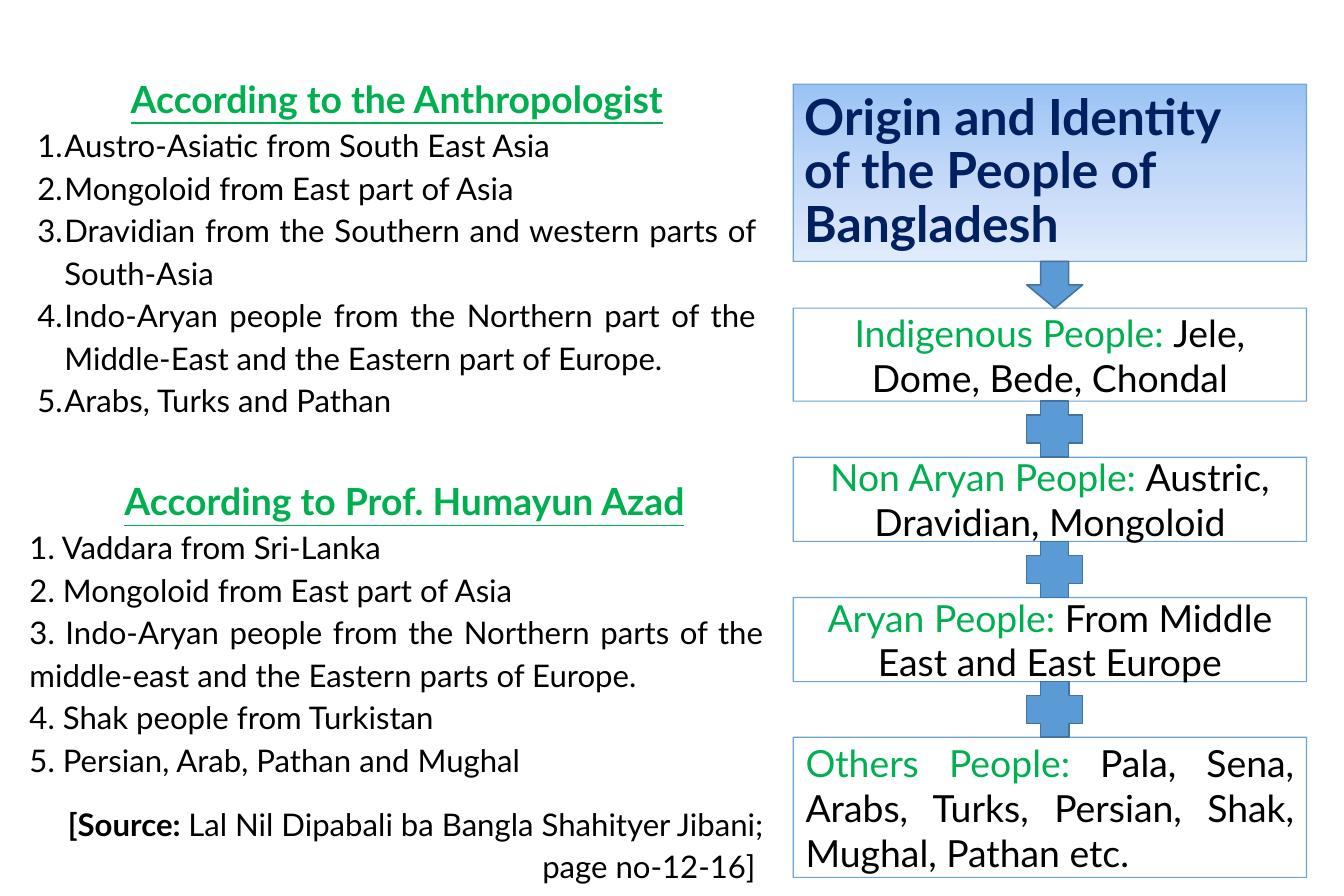
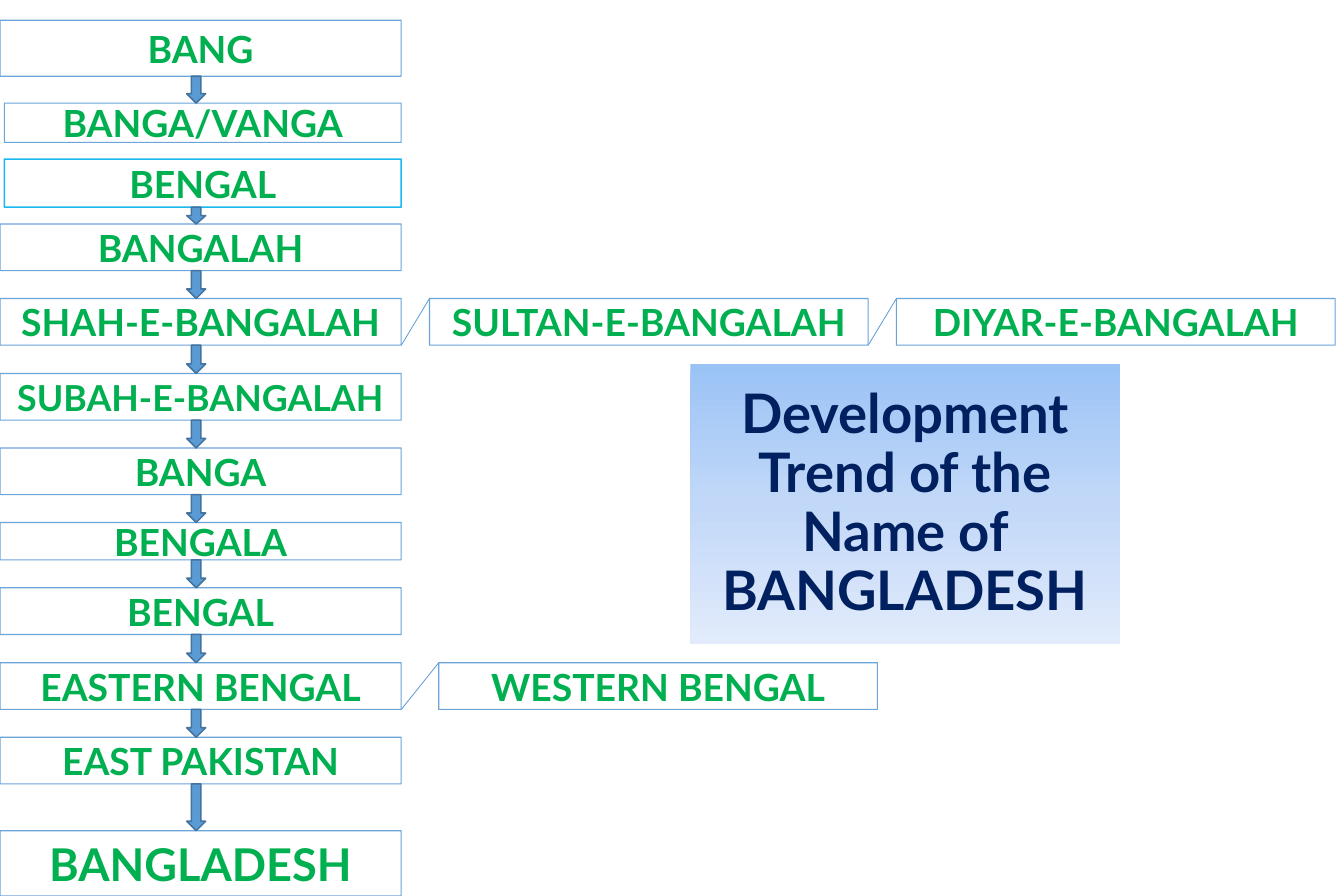
from copy import deepcopy

from pptx import Presentation
from pptx import util as u
from pptx.dml.color import RGBColor
from pptx.enum import shapes, text
from pptx.oxml.ns import qn
from lxml import etree

FONT = "Lato"
COLOURS = {
    "title": "002060",
    "accent": "00B050",
    "body": "000000",
    "edge": "5B9BD5",
    "link_edge": "43739E",
    "bright_edge": "00B0F0",
    "paper": "FFFFFF",
}
TITLE_STOPS = [(0, "9AC3F5"), (0.5, "C2D8F8"), (1, "E1EBFB")]
LEFT, CENTER, RIGHT, JUSTIFY = (
    text.PP_ALIGN.LEFT, text.PP_ALIGN.CENTER, text.PP_ALIGN.RIGHT, text.PP_ALIGN.JUSTIFY)
BLOCK = shapes.MSO_SHAPE

# People groups on slide 1: label, members, top, height, alignment (cm)
GROUPS = [
    ("Indigenous People: ", "Jele, Dome, Bede, Chondal", 6.99, 2.11, CENTER),
    ("Non Aryan People: ", "Austric, Dravidian, Mongoloid", 10.37, 1.91, CENTER),
    ("Aryan People: ", "From Middle East and East Europe", 13.55, 1.91, CENTER),
    ("Others People: ", "Pala, Sena, Arabs, Turks, Persian, Shak, Mughal, Pathan etc.",
     16.72, 3.18, JUSTIFY),
]
ANTHROPOLOGIST_VIEW = [
    "Austro-Asiatic from South East Asia",
    "Mongoloid from East part of Asia",
    "Dravidian from the Southern and western parts of South-Asia",
    "Indo-Aryan people from the Northern part of the Middle-East "
    "and the Eastern part of Europe.",
    "Arabs, Turks and Pathan",
]
AZAD_VIEW = [
    "1. Vaddara from Sri-Lanka",
    "2. Mongoloid from East part of Asia",
    "3. Indo-Aryan people from the Northern parts of the middle-east "
    "and the Eastern parts of Europe.",
    "4. Shak people from Turkistan",
    "5. Persian, Arab, Pathan and Mughal",
]
# Names on slide 2: name, left, top, height (cm), text size
NAMES = [
    ("BANG", 0, 0.46, 1.27, 24),
    ("BANGA/VANGA", 0.1, 2.34, 0.89, 24),
    ("BENGAL", 0.1, 3.61, 1.09, 24),
    ("BANGALAH", 0, 5.08, 1.06, 24),
    ("SHAH-E-BANGALAH", 0, 6.77, 1.06, 24),
    ("SUBAH-E-BANGALAH", 0, 8.47, 1.06, 23),
    ("BANGA", 0, 10.16, 1.06, 24),
    ("BENGALA", 0, 11.85, 0.85, 24),
    ("BENGAL", 0, 13.33, 1.06, 24),
    ("EASTERN BENGAL", 0, 15.03, 1.06, 24),
    ("EAST PAKISTAN", 0, 16.72, 1.06, 24),
    ("BANGLADESH", 0, 18.84, 1.48, 29),
]
UNLINKED, BRIGHT = 1, 2  # no arrow below the second name; the third has its own edge
NAMES_RIGHT = 9.1
# Variants beside a name: row, gap before each box, names
VARIANTS = [
    (4, 0.64, ["SULTAN-E-BANGALAH", "DIYAR-E-BANGALAH"]),
    (9, 0.85, ["WESTERN BENGAL"]),
]


def rgb(name):
    """Return a named colour."""
    return RGBColor.from_string(COLOURS[name])


def set_edge(line, colour, width, opacity=100):
    """Draw an outline, with opacity in percent."""
    line.color.rgb = rgb(colour)
    line.width = u.Pt(width)
    if opacity < 100:
        srgb = line.fill._xPr.find(".//" + qn("a:srgbClr"))
        etree.SubElement(srgb, qn("a:alpha"), val=str(opacity * 1000))


def add_run(paragraph, words, size, colour, bold=False, underline=False):
    """Add one styled run."""
    run = paragraph.add_run()
    run.text = words
    font = run.font
    font.name, font.size, font.bold = FONT, u.Pt(size), bold
    font.underline = underline
    font.color.rgb = rgb(colour)


def add_block(slide, kind, left, top, width, height):
    """Add a preset shape without shadow, fill or outline."""
    block = slide.shapes.add_shape(
        kind, u.Cm(left), u.Cm(top), u.Cm(width), u.Cm(height))
    block.shadow.inherit = False
    block.fill.background()
    block.line.fill.background()
    return block


def set_frame(frame, across, down, anchor):
    """Wrap the text and set its insets; return the first paragraph."""
    frame.word_wrap = True
    frame.margin_left = frame.margin_right = u.Cm(across)
    frame.margin_top = frame.margin_bottom = u.Cm(down)
    frame.vertical_anchor = anchor
    return frame.paragraphs[0]


def add_title(slide, place, lines, size, align):
    """Add the title panel with its gradient."""
    panel = add_block(slide, BLOCK.RECTANGLE, *place)
    panel.fill.gradient()
    panel.fill.gradient_angle = 270
    stops = panel._element.spPr.find(".//" + qn("a:gsLst"))
    stops.insert(1, deepcopy(stops[0]))
    for stop, (position, colour) in zip(panel.fill.gradient_stops, TITLE_STOPS):
        stop.position = position
        stop.color.rgb = RGBColor.from_string(colour)
    heading = set_frame(panel.text_frame, 0.25, 0.13, text.MSO_ANCHOR.MIDDLE)
    heading.alignment, heading.line_spacing = align, 0.9
    for number, line in enumerate(lines):
        if number:
            heading.add_line_break()
        add_run(heading, line, size, "title", bold=True)
    return panel


def add_box(slide, left, top, width, height, align=CENTER):
    """Add an outlined box; return it and its paragraph."""
    box = add_block(slide, BLOCK.RECTANGLE, left, top, width, height)
    set_edge(box.line, "edge", 0.75, 90)
    label = set_frame(box.text_frame, 0.28, 0.15, text.MSO_ANCHOR.MIDDLE)
    label.alignment = align
    return box, label


def add_name(slide, name, left, top, width, height, size=24):
    """Add a box that holds one bold name."""
    box, label = add_box(slide, left, top, width, height)
    add_run(label, name, size, "accent", bold=True)
    return box


def add_link(slide, kind, centre, width, top, bottom):
    """Fill the gap between two boxes with an arrow or a plus."""
    link = add_block(slide, kind, centre - width / 2, top, width, bottom - top)
    link.fill.solid()
    link.fill.fore_color.rgb = rgb("edge")
    set_edge(link.line, "link_edge", 1)


def add_slant(slide, left, bottom, right, top):
    """Add the thin slanted line between two variants."""
    slant = slide.shapes.add_connector(
        shapes.MSO_CONNECTOR.STRAIGHT, u.Cm(left), u.Cm(bottom), u.Cm(right), u.Cm(top))
    set_edge(slant.line, "edge", 0.5)
    etree.SubElement(slant._element.spPr, qn("a:effectLst"))


def add_view(slide, place, insets, heading, points, numbered=False, shift=0):
    """Add a headed list of points; return its text frame."""
    view = slide.shapes.add_textbox(*(u.Cm(length) for length in place))
    head = set_frame(view.text_frame, *insets, text.MSO_ANCHOR.TOP)
    head.alignment, head.line_spacing = CENTER, 1.14
    head._p.get_or_add_pPr().set("marL", str(u.Cm(shift)))
    add_run(head, heading, 24, "accent", bold=True, underline=True)
    for point in points:
        item = view.text_frame.add_paragraph()
        item.alignment, item.line_spacing = JUSTIFY, 1.14
        add_run(item, point, 20, "body")
        if numbered:
            number_item(item)
    return view.text_frame


def number_item(item, hang=0.61):
    """Give a paragraph an automatic number and a hanging indent."""
    properties = item._p.get_or_add_pPr()
    properties.set("marL", str(u.Cm(hang)))
    properties.set("indent", str(-u.Cm(hang)))
    etree.SubElement(properties, qn("a:buFont"), typeface="+mj-lt")
    etree.SubElement(properties, qn("a:buAutoNum"), type="arabicPeriod")


def build_origin(slide):
    """Slide 1: two scholarly views and the chain of peoples."""
    left, width, centre = 17.99, 11.64, 23.92
    title = add_title(slide, (left, 1.91, width, 4.02),
                      ["Origin and Identity ", "of the People of Bangladesh"], 32, LEFT)
    set_edge(title.line, "edge", 0.75, 87)

    azad = add_view(slide, (0.42, 10.58, 17.15, 9.74), (0.25, 0.13),
                    "According to Prof. Humayun Azad", AZAD_VIEW, shift=0.36)
    source = azad.add_paragraph()
    source.alignment, source.line_spacing = RIGHT, 1.14
    source.space_before = u.Pt(13.7)
    add_run(source, "[Source: ", 20, "body", bold=True)
    add_run(source, "Lal Nil Dipabali ba Bangla Shahityer Jibani; page no-12-16] ",
            20, "body")
    add_view(slide, (0.64, 1.48, 16.72, 8.2), (0.21, 0.11),
             "According to the Anthropologist", ANTHROPOLOGIST_VIEW, numbered=True)

    for label, members, top, height, align in GROUPS:
        _, group = add_box(slide, left, top, width, height, align)
        add_run(group, label, 24, "accent")
        add_run(group, members, 24, "body")
    bottom = 5.93
    for number, (_, _, top, height, _) in enumerate(GROUPS):
        kind = BLOCK.CROSS if number else BLOCK.DOWN_ARROW
        add_link(slide, kind, centre, 1.27, bottom, top)
        bottom = top + height


def build_names(slide):
    """Slide 2: the chain of names that led to the present one."""
    add_title(slide, (15.66, 8.26, 9.74, 6.35),
              ["Development Trend of the Name of BANGLADESH"], 35, CENTER)
    for row, (name, left, top, height, size) in enumerate(NAMES):
        box = add_name(slide, name, left, top, NAMES_RIGHT - left, height, size)
        if row == BRIGHT:
            box.fill.solid()
            box.fill.fore_color.rgb = rgb("paper")
            set_edge(box.line, "bright_edge", 1)
    for row, (_, _, top, height, _) in enumerate(NAMES[:-1]):
        if row != UNLINKED:
            add_link(slide, BLOCK.DOWN_ARROW, 4.45, 0.43, top + height, NAMES[row + 1][2])

    variant_width = 9.95
    for row, gap, variants in VARIANTS:
        _, _, top, height, _ = NAMES[row]
        right = NAMES_RIGHT
        for variant in variants:
            left = right + gap
            add_name(slide, variant, left, top, variant_width, height)
            add_slant(slide, right, top + height, left, top)
            right = left + variant_width


def main():
    """Build and save the two slides."""
    deck = Presentation()
    deck.slide_width, deck.slide_height = u.Cm(30.48), u.Cm(20.32)
    blank = deck.slide_layouts[6]
    for build in (build_origin, build_names):
        build(deck.slides.add_slide(blank))
    deck.save("out.pptx")


main()
